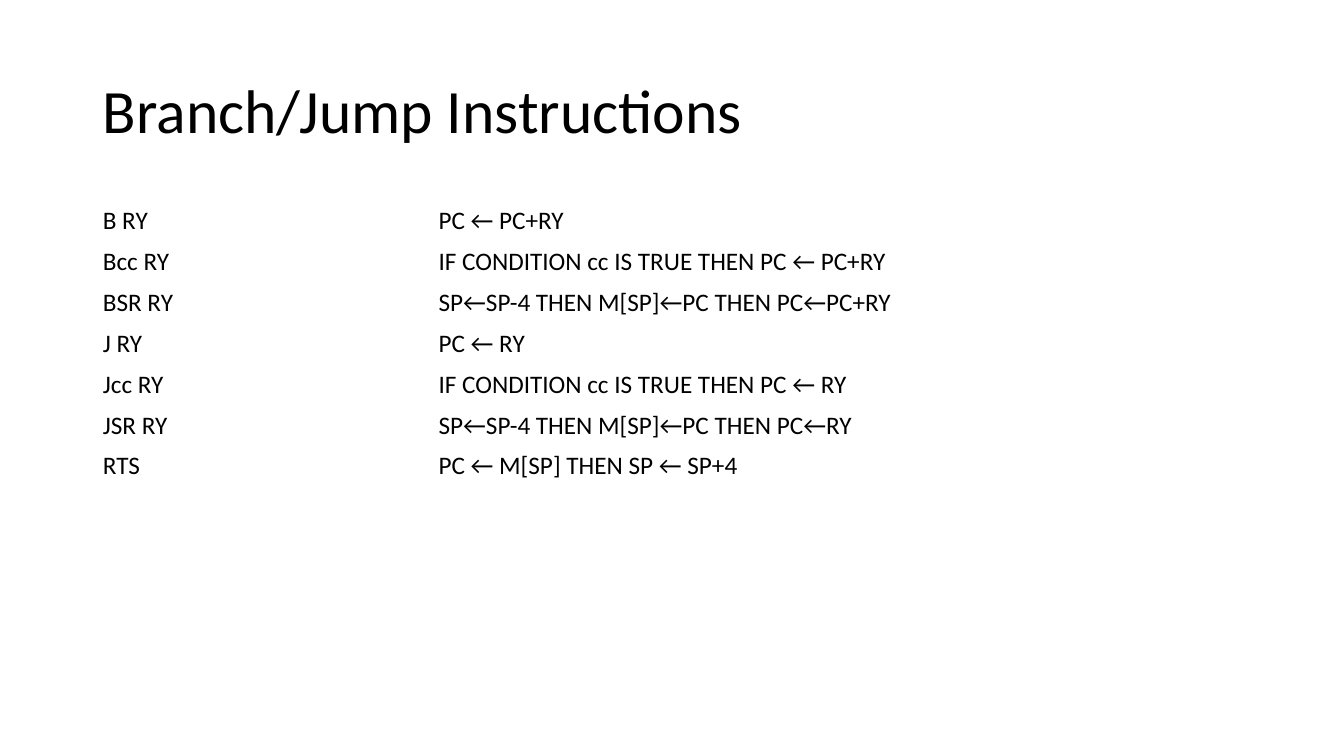
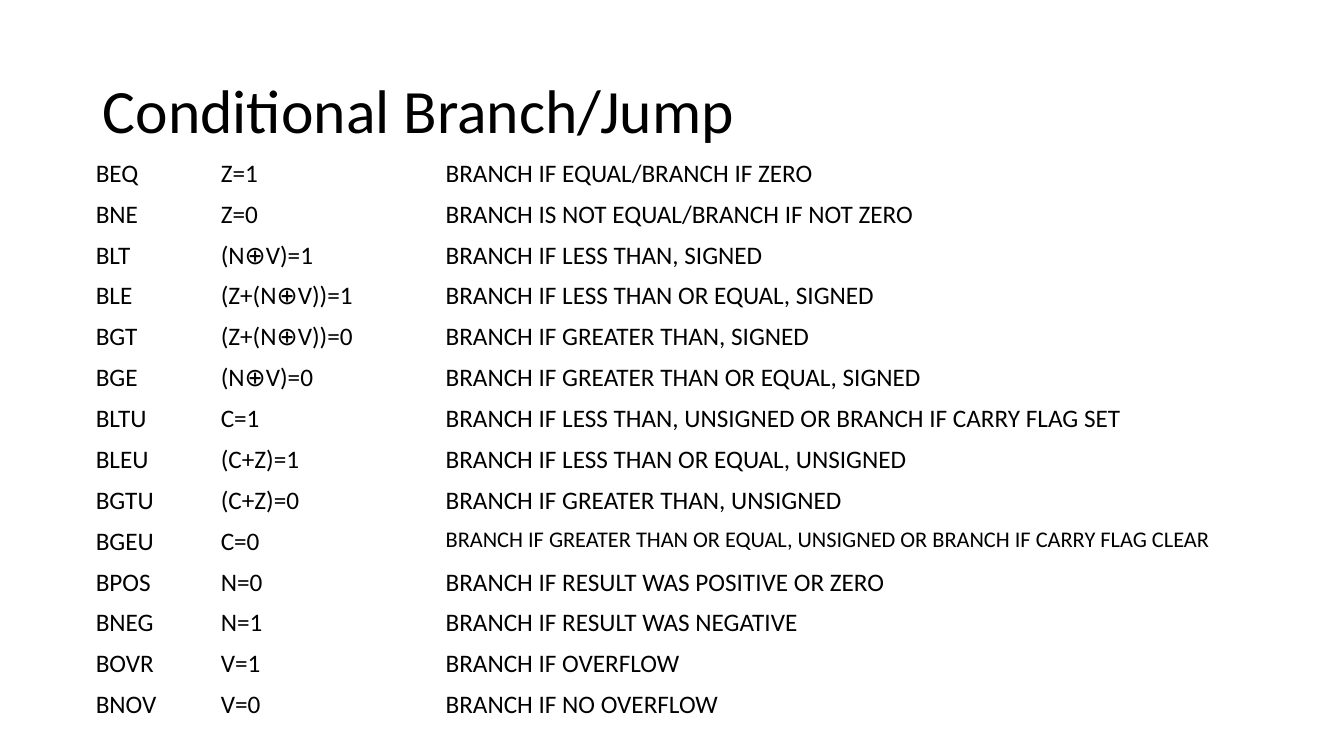
from lxml import etree
from pptx import Presentation
from pptx.dml.color import RGBColor
from pptx.enum.text import MSO_ANCHOR, PP_ALIGN
from pptx.oxml.ns import qn
from pptx.util import Inches, Pt

LEFT, MIDDLE = PP_ALIGN.LEFT, MSO_ANCHOR.MIDDLE
TITLE_ONLY = 5

# Shared style
FONT = "Calibri"
INK, PAPER = "000000", "FFFFFF"
TITLE_BOX = (0.92, 0.4, 11.5, 1.45)
TITLE_SIZE, CELL_SIZE, SMALL_SIZE = 44, 18, 16
LONGEST_LINE = 60  # longer cell text is set in the small size

JUMPS = [
    ("B RY", "PC ← PC+RY"),
    ("Bcc RY", "IF CONDITION cc IS TRUE THEN PC ← PC+RY"),
    ("BSR RY", "SP←SP-4 THEN M[SP]←PC THEN PC←PC+RY"),
    ("J RY", "PC ← RY"),
    ("Jcc RY", "IF CONDITION cc IS TRUE THEN PC ← RY"),
    ("JSR RY", "SP←SP-4 THEN M[SP]←PC THEN PC←RY"),
    ("RTS", "PC ← M[SP] THEN SP ← SP+4"),
    ("", ""),
]

CONDITIONS = [
    ("BEQ", "Z=1", "BRANCH IF EQUAL/BRANCH IF ZERO"),
    ("BNE", "Z=0", "BRANCH IS NOT EQUAL/BRANCH IF NOT ZERO"),
    ("BLT", "(N⊕V)=1", "BRANCH IF LESS THAN, SIGNED"),
    ("BLE", "(Z+(N⊕V))=1", "BRANCH IF LESS THAN OR EQUAL, SIGNED"),
    ("BGT", "(Z+(N⊕V))=0", "BRANCH IF GREATER THAN, SIGNED"),
    ("BGE", "(N⊕V)=0", "BRANCH IF GREATER THAN OR EQUAL, SIGNED"),
    ("BLTU", "C=1", "BRANCH IF LESS THAN, UNSIGNED OR BRANCH IF CARRY FLAG SET"),
    ("BLEU", "(C+Z)=1", "BRANCH IF LESS THAN OR EQUAL, UNSIGNED"),
    ("BGTU", "(C+Z)=0", "BRANCH IF GREATER THAN, UNSIGNED"),
    ("BGEU", "C=0", "BRANCH IF GREATER THAN OR EQUAL, UNSIGNED OR BRANCH IF CARRY FLAG CLEAR"),
    ("BPOS", "N=0", "BRANCH IF RESULT WAS POSITIVE OR ZERO"),
    ("BNEG", "N=1", "BRANCH IF RESULT WAS NEGATIVE"),
    ("BOVR", "V=1", "BRANCH IF OVERFLOW"),
    ("BNOV", "V=0", "BRANCH IF NO OVERFLOW"),
]


def rgb(color):
    return RGBColor.from_string(color)


def style_text(p, size):
    p.alignment = LEFT
    for r in p.runs:
        r.font.name = FONT
        r.font.size = Pt(size)
        r.font.color.rgb = rgb(INK)


def set_borders(cell, color, width):
    tc_pr = cell._tc.get_or_add_tcPr()
    for side in ("lnL", "lnR", "lnT", "lnB"):
        ln = etree.SubElement(tc_pr, qn(f"a:{side}"), w=str(Pt(width)))
        fill = etree.SubElement(ln, qn("a:solidFill"))
        etree.SubElement(fill, qn("a:srgbClr"), val=color)


def add_title(s, text, box):
    title = s.shapes.title
    title.left, title.top, title.width, title.height = map(Inches, box)
    tf = title.text_frame
    tf.text = text
    tf.vertical_anchor = MIDDLE
    p = tf.paragraphs[0]
    p.line_spacing = 0.9
    style_text(p, TITLE_SIZE)


def add_instruction_table(s, rows, box, col_widths):
    left, top, width, height = map(Inches, box)
    table = s.shapes.add_table(len(rows), len(col_widths),
                               left, top, width, height).table
    table.first_row = table.horz_banding = False
    for column, col_width in zip(table.columns, col_widths):
        column.width = Inches(col_width)
    for row, texts in zip(table.rows, rows):
        for cell, text in zip(row.cells, texts):
            set_borders(cell, PAPER, 1)
            cell.fill.solid()
            cell.fill.fore_color.rgb = rgb(PAPER)
            cell.text_frame.text = text
            size = SMALL_SIZE if len(text) > LONGEST_LINE else CELL_SIZE
            style_text(cell.text_frame.paragraphs[0], size)


def add_table_slide(prs, title, rows, box, col_widths):
    s = prs.slides.add_slide(prs.slide_layouts[TITLE_ONLY])
    add_title(s, title, TITLE_BOX)
    add_instruction_table(s, rows, box, col_widths)


def main():
    prs = Presentation()
    prs.slide_width, prs.slide_height = Inches(13.33), Inches(7.5)
    add_table_slide(prs, "Branch/Jump Instructions", JUMPS,
                    (0.92, 1.99, 11.5, 3.24), (3.33, 8.17))
    add_table_slide(prs, "Conditional Branch/Jump", CONDITIONS,
                    (0.85, 1.52, 11.5, 5.68), (1.24, 2.23, 8.03))
    prs.save("out.pptx")


if __name__ == "__main__":
    main()
